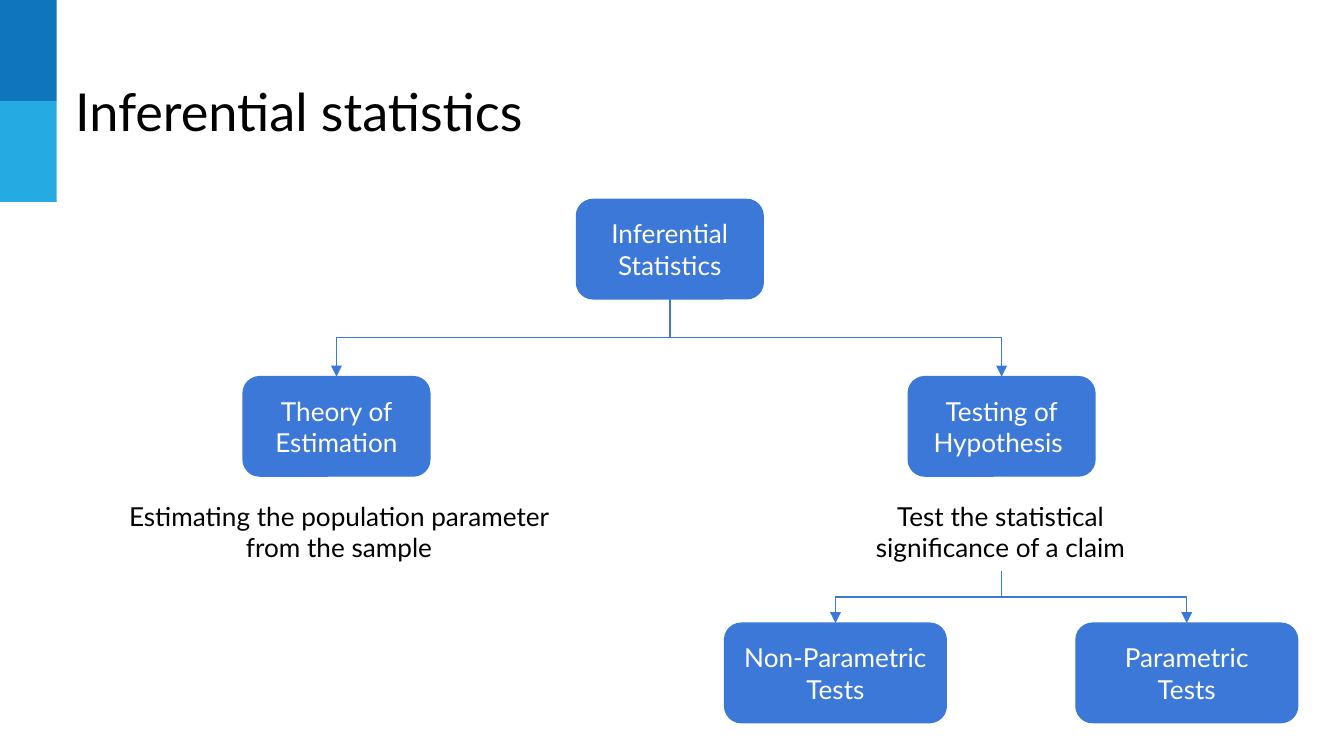
from lxml.etree import SubElement
from pptx import Presentation
from pptx.dml.color import RGBColor
from pptx.enum.shapes import MSO_CONNECTOR, MSO_SHAPE
from pptx.enum.text import MSO_ANCHOR, PP_ALIGN
from pptx.oxml.ns import qn
from pptx.util import Cm, Pt

COLORS = {
    "dark_band": "0F75BD",
    "light_band": "25AAE2",
    "node": "3C78D8",
    "white": "FFFFFF",
    "black": "000000",
}


def write(shape, text, size=14, color="black", align=PP_ALIGN.CENTER, anchor=MSO_ANCHOR.TOP):
    frame = shape.text_frame
    frame.word_wrap = True
    frame.vertical_anchor = anchor
    frame.margin_left = frame.margin_right = Cm(0.25)
    frame.margin_top = frame.margin_bottom = Cm(0.25)
    paragraph = frame.paragraphs[0]
    paragraph.alignment = align
    run = paragraph.add_run()
    run.text = text
    run.font.name = "Lato"
    run.font.size = Pt(size)
    run.font.color.rgb = RGBColor.from_string(COLORS[color])


def branch(start_x, start_y, end_x, end_y):
    """Draw an elbow arrow that leaves downwards, as a sideways elbow turned by 90 degrees."""
    middle_x, middle_y = (start_x + end_x) / 2, (start_y + end_y) / 2
    half_drop, half_span = (end_y - start_y) / 2, abs(end_x - start_x) / 2
    to_right = end_x > start_x
    reach = -half_drop if to_right else half_drop
    arrow = slide.shapes.add_connector(
        MSO_CONNECTOR.ELBOW,
        Cm(middle_x - reach), Cm(middle_y - half_span),
        Cm(middle_x + reach), Cm(middle_y + half_span),
    )
    arrow.line.color.rgb = RGBColor.from_string(COLORS["node"])
    arrow.line.width = Pt(0.75)
    properties = arrow.element.spPr
    properties.find(qn("a:xfrm")).set("rot", str((270 if to_right else 90) * 60000))
    SubElement(properties.find(qn("a:ln")), qn("a:tailEnd"), type="triangle")
    SubElement(properties, qn("a:effectLst"))


presentation = Presentation()
presentation.slide_width = Cm(25.4)
presentation.slide_height = Cm(14.29)
slide = presentation.slides.add_slide(presentation.slide_layouts[6])

# Corner bands and title
band_height = 1.91
for index, color in enumerate(("dark_band", "light_band")):
    band = slide.shapes.add_shape(
        MSO_SHAPE.RECTANGLE, 0, Cm(index * band_height), Cm(1.07), Cm(band_height)
    )
    band.shadow.inherit = False
    band.fill.solid()
    band.fill.fore_color.rgb = RGBColor.from_string(COLORS[color])
    band.line.fill.background()

title = slide.shapes.add_textbox(Cm(1.17), Cm(1.24), Cm(18.72), Cm(1.6))
write(title, "Inferential statistics", size=28, align=PP_ALIGN.LEFT)

# Tree: centre lines of the columns, tops of the levels
root_x, estimation_x, testing_x = 12.66, 6.36, 18.93
nonparametric_x, parametric_x = 15.79, 22.43
root_top, theory_top, tests_top = 3.77, 7.12, 11.78
node_height = 1.88
note_top, note_height = 9.2, 1.6

nodes = [
    ("Inferential Statistics", root_x, root_top, 3.53),
    ("Theory of Estimation", estimation_x, theory_top, 3.53),
    ("Testing of Hypothesis ", testing_x, theory_top, 3.53),
    ("Non-Parametric Tests", nonparametric_x, tests_top, 4.19),
    ("Parametric Tests", parametric_x, tests_top, 4.19),
]
for text, center, top, width in nodes:
    node = slide.shapes.add_shape(
        MSO_SHAPE.ROUNDED_RECTANGLE,
        Cm(center - width / 2), Cm(top), Cm(width), Cm(node_height),
    )
    node.shadow.inherit = False
    node.fill.solid()
    node.fill.fore_color.rgb = RGBColor.from_string(COLORS["node"])
    node.line.color.rgb = RGBColor.from_string(COLORS["node"])
    node.line.width = Pt(0.75)
    write(node, text, color="white", anchor=MSO_ANCHOR.MIDDLE)

for child_x in (testing_x, estimation_x):
    branch(root_x, root_top + node_height, child_x, theory_top)
for child_x in (parametric_x, nonparametric_x):
    branch(testing_x, note_top + note_height, child_x, tests_top)

notes = [
    ("Estimating the population parameter from the sample", 6.41, 8.97),
    ("Test the statistical significance of a claim", 18.91, 6.32),
]
for text, center, width in notes:
    note = slide.shapes.add_textbox(
        Cm(center - width / 2), Cm(note_top), Cm(width), Cm(note_height)
    )
    write(note, text)

presentation.save("out.pptx")
